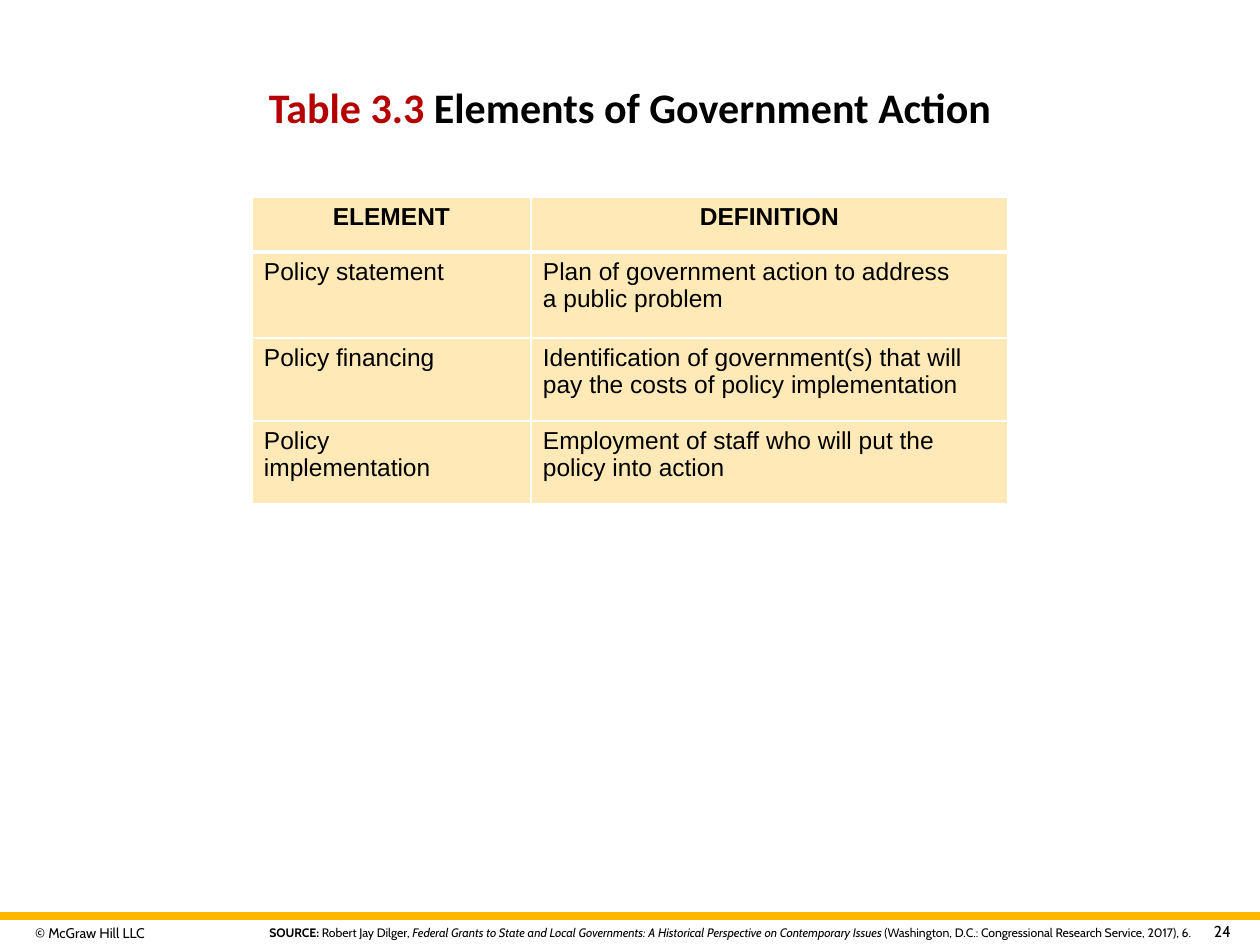
from lxml import etree
from pptx import Presentation
from pptx.dml.color import RGBColor
from pptx.enum.shapes import MSO_SHAPE
from pptx.enum.text import MSO_ANCHOR, PP_ALIGN
from pptx.oxml.ns import qn
from pptx.util import Pt

EMU_PER_PX = 914400 / 126
BLACK, RED, WHITE = "000000", "B40000", "FFFFFF"
GOLD, CREAM = "FFB600", "FFE9B6"

TABLE_ROWS = [
    ("ELEMENT", "DEFINITION"),
    ("Policy statement", "Plan of government action to address a public problem"),
    ("Policy financing",
     "Identification of government(s) that will pay the costs of policy implementation"),
    ("Policy implementation", "Employment of staff who will put the policy into action"),
]
COLUMN_WIDTHS = [279, 477]
ROW_HEIGHTS = [55, 86, 83, 83]


def px(length):
    return round(length * EMU_PER_PX)


def color(hex_string):
    return RGBColor.from_string(hex_string)


def set_margins(target, left, top, right, bottom):
    target.margin_left, target.margin_top = px(left), px(top)
    target.margin_right, target.margin_bottom = px(right), px(bottom)


def add_run(paragraph, text, font, size, fill=BLACK, bold=False, italic=False):
    run = paragraph.add_run()
    run.text = text
    run.font.name = font
    run.font.size = Pt(size)
    run.font.bold = bold
    run.font.italic = italic
    run.font.color.rgb = color(fill)


def add_text(slide, box, margins, align):
    """Add a text box and return its first paragraph."""
    frame = slide.shapes.add_textbox(*map(px, box)).text_frame
    frame.word_wrap = True
    frame.vertical_anchor = MSO_ANCHOR.MIDDLE
    set_margins(frame, *margins)
    paragraph = frame.paragraphs[0]
    paragraph.alignment = align
    return paragraph


def add_bar(slide, box, fill):
    bar = slide.shapes.add_shape(MSO_SHAPE.RECTANGLE, *map(px, box))
    bar.shadow.inherit = False
    bar.fill.solid()
    bar.fill.fore_color.rgb = color(fill)
    bar.line.fill.background()


def set_borders(cell, widths):
    """Draw white borders; widths maps each side to points."""
    properties = cell._tc.get_or_add_tcPr()
    for index, (side, width) in enumerate(widths.items()):
        line = etree.Element(qn(f"a:ln{side}"), w=str(Pt(width)))
        fill = etree.SubElement(line, qn("a:solidFill"))
        etree.SubElement(fill, qn("a:srgbClr"), val=WHITE)
        properties.insert(index, line)


def add_elements_table(slide, left, top):
    frame = slide.shapes.add_table(
        len(TABLE_ROWS), len(COLUMN_WIDTHS), px(left), px(top),
        px(sum(COLUMN_WIDTHS)), px(sum(ROW_HEIGHTS)))
    table = frame.table
    for column, width in zip(table.columns, COLUMN_WIDTHS):
        column.width = px(width)
    for row_index, (row, height, texts) in enumerate(
            zip(table.rows, ROW_HEIGHTS, TABLE_ROWS)):
        row.height = px(height)
        is_header = row_index == 0
        for cell, text in zip(row.cells, texts):
            cell.fill.solid()
            cell.fill.fore_color.rgb = color(CREAM)
            set_margins(cell, *((0, 6, 0, 6) if is_header else (12, 6, 38, 6)))
            paragraph = cell.text_frame.paragraphs[0]
            paragraph.alignment = PP_ALIGN.CENTER if is_header else PP_ALIGN.LEFT
            add_run(paragraph, text, "Arial", 14, bold=is_header)
            set_borders(cell, {"L": 1, "R": 1,
                               "T": 2.25 if row_index == 1 else 1,
                               "B": 2.25 if is_header else 1})


def main():
    presentation = Presentation()
    presentation.slide_width, presentation.slide_height = px(1260), px(945)
    slide = presentation.slides.add_slide(presentation.slide_layouts[6])

    # Footer bar and copyright line
    copyright_line = add_text(slide, (30, 918, 170, 30), (5, 6, 5, 6), PP_ALIGN.LEFT)
    add_run(copyright_line, "© McGraw Hill LLC", "Cabin", 8)
    add_bar(slide, (0, 912, 1260, 8), GOLD)

    # Title
    title = add_text(slide, (47, 28, 1166, 158), (13, 6, 13, 6), PP_ALIGN.CENTER)
    add_run(title, "Table 3.3", "Calibri", 24, RED, bold=True)
    add_run(title, " Elements of Government Action", "Calibri", 24, bold=True)

    # Table
    add_elements_table(slide, 252, 197)

    # Source citation
    source = add_text(slide, (145, 920, 1046, 25), (0, 0, 0, 0), PP_ALIGN.RIGHT)
    add_run(source, "SOURCE: ", "Cabin", 7, bold=True)
    add_run(source, "Robert Jay Dilger, ", "Cabin", 7)
    add_run(source, "Federal Grants to State and Local Governments: "
            "A Historical Perspective on Contemporary Issues ", "Cabin", 7, italic=True)
    add_run(source, "(Washington, D.C.: Congressional Research Service, 2017), 6.",
            "Cabin", 7)

    # Slide number
    number = add_text(slide, (1188, 920, 49, 23), (6, 6, 6, 6), PP_ALIGN.RIGHT)
    add_run(number, "24", "Cabin", 9)

    presentation.save("out.pptx")


if __name__ == "__main__":
    main()
